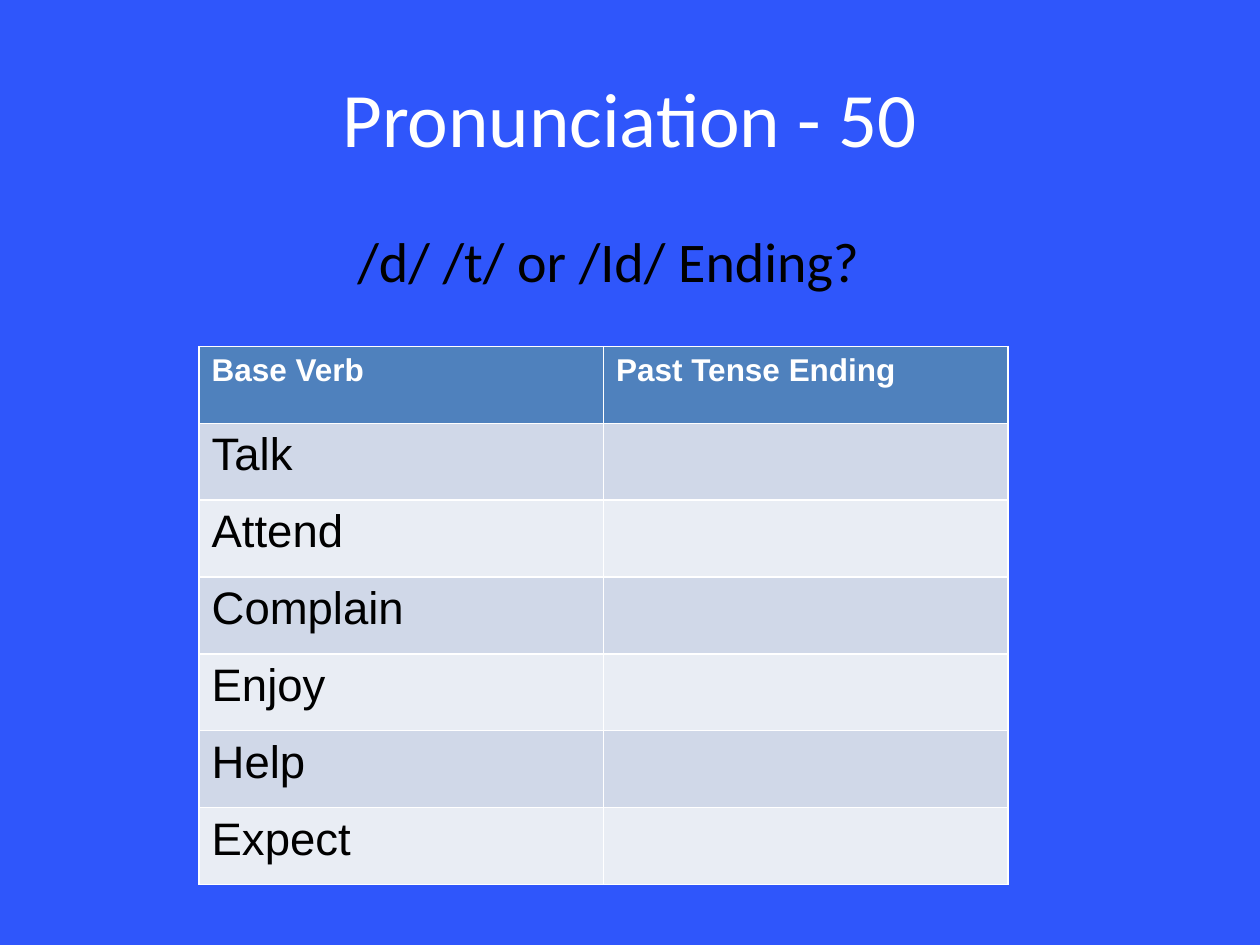
from pptx import Presentation
from pptx.dml.color import RGBColor
from pptx.enum.text import MSO_ANCHOR, PP_ALIGN
from pptx.util import Inches, Pt

CENTER = PP_ALIGN.CENTER
TOP, MIDDLE = MSO_ANCHOR.TOP, MSO_ANCHOR.MIDDLE

BLUE = RGBColor(0x2F, 0x56, 0xFB)
WHITE = RGBColor(0xFF, 0xFF, 0xFF)
BLACK = RGBColor(0x00, 0x00, 0x00)
HEADER_FILL = RGBColor(0x4F, 0x81, 0xBD)
BAND_FILLS = (RGBColor(0xD0, 0xD8, 0xE8), RGBColor(0xE9, 0xED, 0xF4))

HEADINGS = [
    ("Pronunciation - 50", (0.5, 0.3, 9, 1.25), MIDDLE, 44, WHITE, 0),
    ("/d/ /t/ or /Id/ Ending?", (0.33, 1.75, 9, 5.37), TOP, 32, BLACK, 6.4),
]
COLUMNS = ("Base Verb", "Past Tense Ending")
VERBS = ("Talk", "Attend", "Complain", "Enjoy", "Help", "Expect")
TABLE_LEFT, TABLE_TOP = 1.58, 2.75
COLUMN_WIDTH, ROW_HEIGHT = 3.21, 0.61


def style(paragraph, font_name, size, color, bold=False):
    font = paragraph.font
    font.name, font.size, font.bold = font_name, Pt(size), bold
    font.color.rgb = color


prs = Presentation()
prs.slide_width, prs.slide_height = Inches(10), Inches(7.5)
slide = prs.slides.add_slide(prs.slide_layouts[6])
slide.background.fill.solid()
slide.background.fill.fore_color.rgb = BLUE

for wording, place, anchor, size, color, space in HEADINGS:
    frame = slide.shapes.add_textbox(*map(Inches, place)).text_frame
    frame.word_wrap = True
    frame.vertical_anchor = anchor
    heading = frame.paragraphs[0]
    heading.text = wording
    heading.alignment = CENTER
    heading.space_before = Pt(space)
    style(heading, "Calibri", size, color)

rows = [COLUMNS] + [(verb, "") for verb in VERBS]
verb_table = slide.shapes.add_table(
    len(rows), len(COLUMNS), Inches(TABLE_LEFT), Inches(TABLE_TOP),
    Inches(COLUMN_WIDTH * len(COLUMNS)), Inches(ROW_HEIGHT * len(rows))).table

for r, row in enumerate(rows):
    verb_table.rows[r].height = Inches(ROW_HEIGHT)
    is_header = r == 0
    for c, wording in enumerate(row):
        cell = verb_table.cell(r, c)
        cell.fill.solid()
        cell.fill.fore_color.rgb = HEADER_FILL if is_header else BAND_FILLS[(r - 1) % 2]
        if wording:
            cell.text = wording
            style(cell.text_frame.paragraphs[0], "Arial", 18 if is_header else 26,
                  WHITE if is_header else BLACK, is_header)

prs.save("out.pptx")
